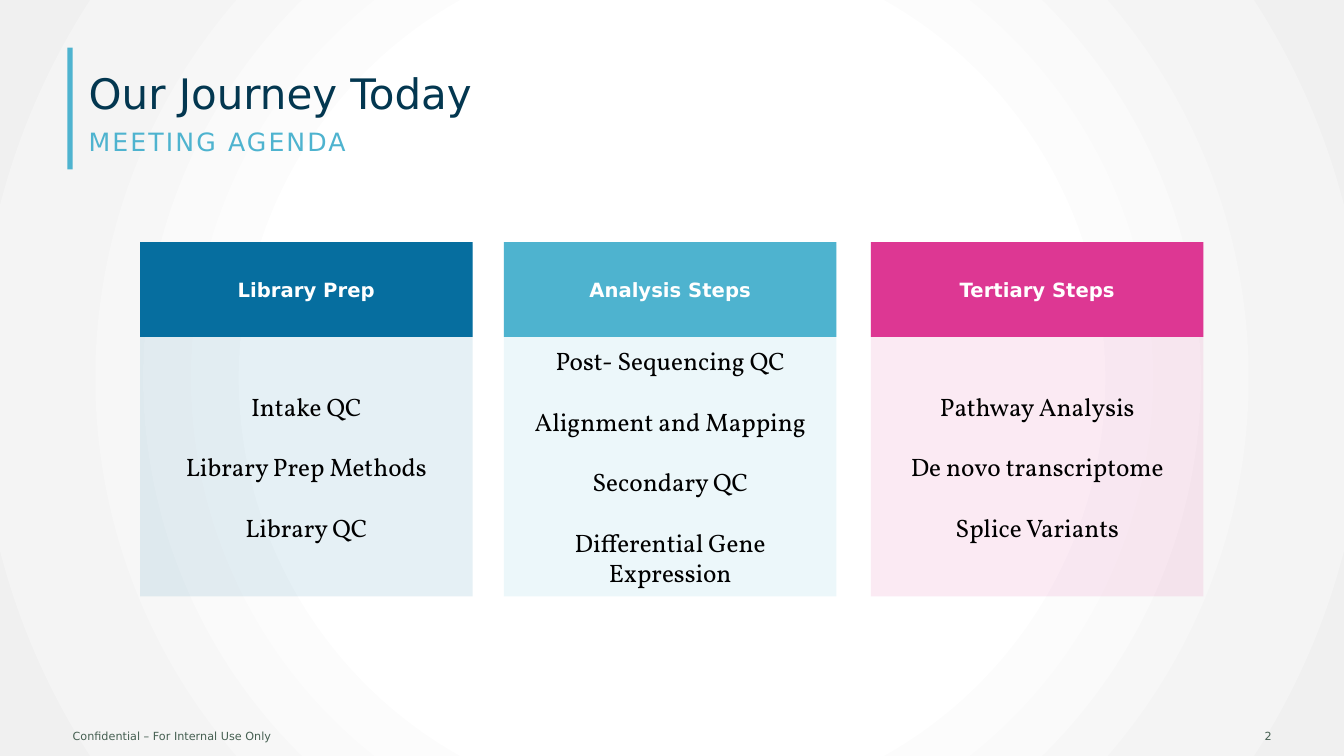
from lxml import etree
from pptx import Presentation
from pptx.dml.color import RGBColor
from pptx.enum import shapes, text
from pptx.oxml import parse_xml
from pptx.oxml.ns import nsdecls, qn
from pptx.util import Cm, Pt

NAVY = RGBColor(0x03, 0x37, 0x50)
BLUE = RGBColor(0x06, 0x6E, 0x9F)
CYAN = RGBColor(0x4E, 0xB3, 0xCF)
PINK = RGBColor(0xDD, 0x37, 0x93)
GREEN = RGBColor(0x45, 0x5F, 0x51)
WHITE = RGBColor(0xFF, 0xFF, 0xFF)
BLACK = RGBColor(0, 0, 0)
PALE = RGBColor(0xF4, 0xF4, 0xF4)
GREY = RGBColor(0xF0, 0xF0, 0xF0)

SANS = "DejaVu Sans"
SERIF = "Vollkorn"
LEFT, CENTER, RIGHT = text.PP_ALIGN.LEFT, text.PP_ALIGN.CENTER, text.PP_ALIGN.RIGHT
TOP, MIDDLE, BOTTOM = text.MSO_ANCHOR.TOP, text.MSO_ANCHOR.MIDDLE, text.MSO_ANCHOR.BOTTOM

CARD_WIDTH = Cm(8.38)
CARDS = [
    (Cm(3.53), BLUE, "Library Prep",
     ["Intake QC", "Library Prep Methods", "Library QC"]),
    (Cm(12.7), CYAN, "Analysis Steps",
     ["Post- Sequencing QC", "Alignment and Mapping", "Secondary QC",
      "Differential Gene Expression"]),
    (Cm(21.95), PINK, "Tertiary Steps",
     ["Pathway Analysis", "De novo transcriptome", "Splice Variants"]),
]


def set_background(s):
    s.background.fill.gradient()
    grad = s.element.find(".//" + qn("a:gradFill"))
    stops = "".join(
        f'<a:gs pos="{pos * 1000}"><a:srgbClr val="{color}"/></a:gs>'
        for pos, color in [(50, WHITE), (81, PALE), (99, GREY)])
    grad.getparent().replace(grad, parse_xml(
        f'<a:gradFill {nsdecls("a")} rotWithShape="1"><a:gsLst>{stops}</a:gsLst>'
        '<a:path path="circle">'
        '<a:fillToRect l="50000" t="50000" r="50000" b="50000"/>'
        '</a:path></a:gradFill>'))


def write(sp, lines, size, color, font=SANS, align=LEFT, anchor=MIDDLE, bold=False):
    tf = sp.text_frame
    tf.word_wrap = True
    tf.auto_size = text.MSO_AUTO_SIZE.NONE
    tf.vertical_anchor = anchor
    for i, line in enumerate(lines):
        p = tf.add_paragraph() if i else tf.paragraphs[0]
        p.alignment = align
        if i:
            p.space_before = Pt(21.6)
        r = p.add_run()
        r.text = line
        r.font.size = Pt(size)
        r.font.name = font
        r.font.bold = bold
        r.font.color.rgb = color
    return tf


def place(sp, left, top, width, height):
    sp.left, sp.top, sp.width, sp.height = left, top, width, height


def add_rect(s, left, top, width, height, color, opacity=None):
    sp = s.shapes.add_shape(shapes.MSO_SHAPE.RECTANGLE, left, top, width, height)
    sp.shadow.inherit = False
    sp.fill.solid()
    sp.fill.fore_color.rgb = color
    sp.line.fill.background()
    if opacity is not None:
        clr = sp.element.spPr.find(".//" + qn("a:srgbClr"))
        etree.SubElement(clr, qn("a:alpha")).set("val", str(opacity * 1000))
    return sp


def add_heading(s):
    add_rect(s, Cm(1.7), Cm(1.2), Cm(0.13), Cm(3.07), CYAN)
    title, body = s.shapes.title, s.placeholders[1]
    place(title, Cm(1.98), Cm(0.03), Cm(30.48), Cm(3.07))
    tf = write(title, ["Our Journey Today"], 30, NAVY, anchor=BOTTOM)
    tf.paragraphs[0].line_spacing = Pt(58)

    place(body, Cm(1.98), Cm(3.05), Cm(30.48), Cm(1.24))
    p = write(body, ["MEETING AGENDA"], 18, CYAN, anchor=TOP).paragraphs[0]
    p.space_before = Pt(3.6)
    pPr = p._p.get_or_add_pPr()
    pPr.set("marL", "0")
    pPr.set("indent", "0")
    etree.SubElement(pPr, qn("a:buNone"))
    p.runs[0].font._element.set("spc", "150")


def add_footer(s, left, width, line, align, inset_left, inset_right):
    sp = s.shapes.add_textbox(left, Cm(18.03), width, Cm(1.02))
    tf = write(sp, [line], 8, GREEN, align=align)
    tf.margin_left, tf.margin_right = inset_left, inset_right


def add_card(s, left, color, heading, items):
    add_rect(s, left, Cm(6.17), CARD_WIDTH, Cm(8.86), color, opacity=10)
    header = add_rect(s, left, Cm(6.1), CARD_WIDTH, Cm(2.39), color)
    write(header, [heading], 14, WHITE, align=CENTER, bold=True)
    sp = s.shapes.add_textbox(left, Cm(8.56), CARD_WIDTH, Cm(6.4))
    write(sp, items, 18, BLACK, font=SERIF, align=CENTER)


def main():
    prs = Presentation()
    prs.slide_width, prs.slide_height = Cm(33.87), Cm(19.05)
    s = prs.slides.add_slide(prs.slide_layouts[1])
    set_background(s)
    add_heading(s)
    add_footer(s, Cm(1.7), Cm(10.16), "Confidential – For Internal Use Only",
               LEFT, Cm(0.13), Cm(0.25))
    add_footer(s, Cm(30.1), Cm(2.08), "2", RIGHT, Cm(0.08), Cm(0.13))
    for card in CARDS:
        add_card(s, *card)
    prs.save("out.pptx")


if __name__ == "__main__":
    main()
